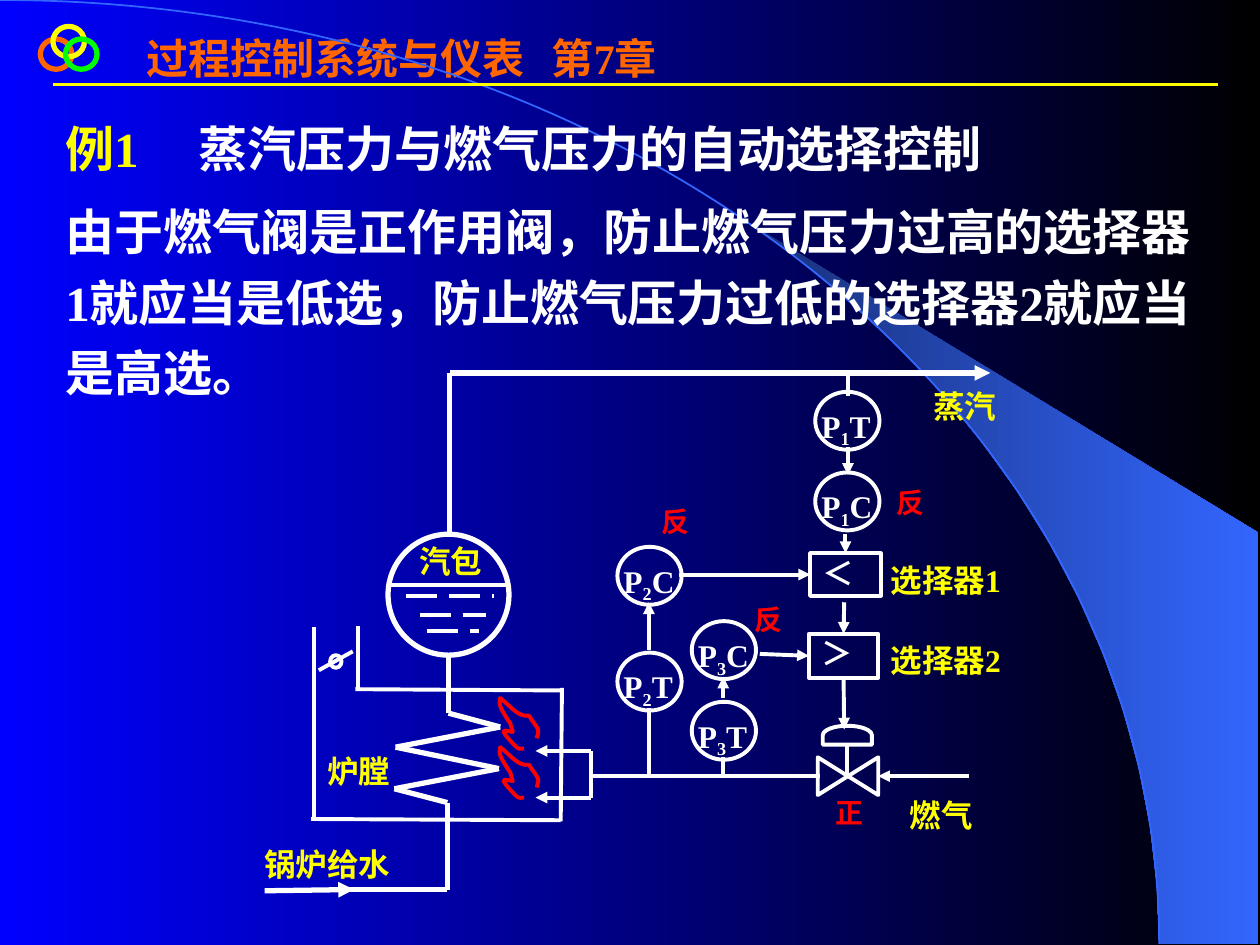
import math
from dataclasses import dataclass
from pptx import Presentation
from pptx import util as u
from pptx.dml.color import RGBColor
from pptx.enum import dml, shapes, text
from pptx.oxml import xmlchemy

PP = text.PP_ALIGN
SHAPE = shapes.MSO_SHAPE


@dataclass(frozen=True)
class Theme:
    latin: str = "Times New Roman"
    cjk: str = "Noto Sans CJK SC"
    blue: str = "0000FF"
    black: str = "000000"
    navy: str = "182F76"
    sky: str = "3366FF"
    orange: str = "FF6600"
    yellow: str = "FFFF00"
    green: str = "00FF00"
    white: str = "FFFFFF"
    red: str = "FF0000"
    title: float = 24
    body: float = 28
    label: float = 18
    action: float = 16
    thin: float = 2.25
    thick: float = 3


T = Theme()


def cm(inches):
    return u.Cm(2.54 * inches)


@dataclass
class Box:
    left: float
    top: float
    width: float
    height: float

    def at(self, x, y):
        return cm(self.left + x), cm(self.top + y)

    def place(self, x, y, w, h):
        return *self.at(x, y), cm(w), cm(h)


def sub(parent, tag, **attrs):
    e = xmlchemy.OxmlElement(tag)
    for k, v in attrs.items():
        e.set(k, str(v))
    parent.append(e)
    return e


def gradient(fill, start, end):
    fill.gradient()
    fill.gradient_angle = 0
    for stop, color in zip(fill.gradient_stops, (start, end)):
        stop.color.rgb = RGBColor.from_string(color)


def stroke(sp, color, width):
    sp.line.color.rgb = RGBColor.from_string(color)
    sp.line.width = u.Pt(width)


def outline(sp, color=T.white, width=T.thin):
    sp.shadow.inherit = False
    sp.fill.background()
    stroke(sp, color, width)
    return sp


def shape(s, box, kind, at, color=T.white, width=T.thin, rotation=0):
    sp = outline(s.shapes.add_shape(kind, *box.place(*at)), color, width)
    sp.rotation = rotation
    return sp


def line(s, box, ends, color=T.white, width=T.thin, arrow=False, dash=False):
    x1, y1, x2, y2 = ends
    c = s.shapes.add_connector(shapes.MSO_CONNECTOR.STRAIGHT, *box.at(x1, y1), *box.at(x2, y2))
    stroke(c, color, width)
    if dash:
        c.line.dash_style = dml.MSO_LINE.LONG_DASH
    if arrow:
        sub(c.line._get_or_add_ln(), "a:tailEnd", type="triangle")
    sub(c._element.spPr, "a:effectLst")
    return c


def polyline(s, box, points):
    pts = [box.at(x, y) for x, y in points]
    b = s.shapes.build_freeform(*pts[0], scale=1.0)
    b.add_line_segments(pts[1:], close=False)
    return b.convert_to_shape()


def curve(s, box, points, color, width):
    sp = outline(polyline(s, box, points), color, width)
    segments = sp._element.xpath(".//a:lnTo")
    for i in range(0, len(segments), 3):
        bezier = xmlchemy.OxmlElement("a:cubicBezTo")
        segments[i].addprevious(bezier)
        for segment in segments[i:i + 3]:
            bezier.append(segment[0])
            segment.getparent().remove(segment)


def add_run(p, words, size, color, baseline=0, latin=T.latin):
    r = p.add_run()
    r.text = words
    f = r.font
    f.size, f.bold, f.name = u.Pt(size), True, latin
    f.color.rgb = RGBColor.from_string(color)
    rpr = r._r.get_or_add_rPr()
    if baseline:
        rpr.set("baseline", str(baseline * 1000))
    sub(rpr, "a:ea", typeface=T.cjk)


def add_tab(p, inches):
    tabs = sub(p._p.get_or_add_pPr(), "a:tabLst")
    sub(tabs, "a:tab", pos=int(cm(inches)), algn="l")


def label(s, box, at, runs, size=T.label, color=T.yellow, align=PP.JUSTIFY):
    tf = s.shapes.add_textbox(*box.place(*at)).text_frame
    tf.word_wrap = True
    p = tf.paragraphs[0]
    p.alignment, p.line_spacing = align, 1.2
    for words, baseline in runs:
        add_run(p, words, size, color, baseline)


def backdrop(s, box):
    gradient(s.background.fill, T.blue, T.black)
    start, steps = math.asin(5.89 / 9.2), 14
    angles = [start + (math.pi / 2 - start) * i / steps for i in range(steps + 1)]
    edge = [(9.2 * math.sin(a), 7.49 * (1 - math.cos(a))) for a in angles]
    wedge = polyline(s, box, edge + [(9.99, 7.49), (9.99, 4.23), edge[0]])
    wedge.shadow.inherit = False
    gradient(wedge.fill, T.navy, T.sky)
    wedge.line.fill.background()
    curve(s, box, [(0, 0), (5.08, 0), (9.2, 3.35), (9.2, 7.49)], T.sky, 1)


def header(s, box):
    for x, y, color in ((0, 0.1, T.orange), (0.1, 0, T.yellow), (0.2, 0.1, T.green)):
        shape(s, box, SHAPE.OVAL, (x, y, 0.25, 0.24), color, T.thick)
    line(s, box, (0.1, 0.46, 9.35, 0.46), T.yellow, 1.5)
    sp = s.shapes.title
    sp.left, sp.top, sp.width, sp.height = box.place(0.74, 0, 4.49, 0.9)
    tf = sp.text_frame
    tf.auto_size, tf.word_wrap = text.MSO_AUTO_SIZE.NONE, False
    tf.vertical_anchor = text.MSO_ANCHOR.TOP
    p = tf.paragraphs[0]
    p.alignment = PP.LEFT
    add_tab(p, 3.22)
    add_run(p, "过程控制系统与仪表\t第7章", T.title, T.orange)


def example(s, box):
    tf = s.shapes.add_textbox(*box.place(0, 0, box.width, box.height)).text_frame
    tf.word_wrap = True
    p = tf.paragraphs[0]
    p.line_spacing = 1.2
    add_tab(p, 1.06)
    add_run(p, "例1\t", T.body, T.yellow)
    add_run(p, "蒸汽压力与燃气压力的自动选择控制", T.body, T.white)
    p = tf.add_paragraph()
    p.line_spacing, p.space_before = 1.2, u.Pt(7)
    add_run(p, "由于燃气阀是正作用阀，防止燃气压力过高的选择器1就应当是低选，"
               "防止燃气压力过低的选择器2就应当是高选。", T.body, T.white)


def flame(s, box, dy):
    points = [(2.16, 3.94), (2.14, 3.94), (2.12, 3.95), (2.1, 3.93), (1.93, 3.76), (2.01, 3.8), (2.07, 3.81),
              (2.06, 3.79), (2.06, 3.76), (2.05, 3.74), (2.04, 3.73), (1.97, 3.62), (1.97, 3.6),
              (1.96, 3.57), (1.97, 3.56), (1.97, 3.54), (2.07, 3.62), (2.11, 3.69), (2.2, 3.68),
              (2.22, 3.72), (2.26, 3.76), (2.27, 3.79), (2.28, 3.82), (2.26, 3.83), (2.26, 3.86)]
    curve(s, box, [(x, y + dy) for x, y in points], T.red, T.thin)


def boiler(s, box):
    walls = [(0.49, 2.98, 0.49, 4.5), (2.46, 3.46, 2.45, 4.52), (0.47, 4.5, 2.45, 4.51),
             (0.82, 3.47, 2.46, 3.48), (0.84, 3.48, 0.84, 2.97)]
    damper, water_level, burner = (0.53, 3.32, 0.8, 3.17), (1.08, 2.64, 2.02, 2.64), (2.69, 3.96, 2.69, 4.33)
    for ends in walls + [damper, water_level, burner]:
        line(s, box, ends)
    shape(s, box, SHAPE.FLOWCHART_CONNECTOR, (0.62, 3.2, 0.09, 0.1))
    for y in (3.96, 4.33):
        line(s, box, (2.69, y, 2.25, y), arrow=True)
    for dy in (0, 0.39):
        flame(s, box, dy)
    shape(s, box, SHAPE.OVAL, (1.08, 2.24, 0.96, 0.96), width=T.thick)
    for x1, x2, y in ((1.22, 1.92, 2.73), (1.33, 1.86, 2.88), (1.39, 1.8, 3.01)):
        line(s, box, (x1, y, x2, y), dash=True)
    coil = [(1.56, 3.2), (1.56, 3.66), (1.97, 3.77), (1.14, 3.93), (1.96, 4.1),
            (1.13, 4.26), (1.55, 4.37), (1.55, 5.06), (0.77, 5.06)]
    for a, b in zip(coil, coil[1:]):
        line(s, box, a + b, width=T.thick)
    line(s, box, (0.1, 5.07, 0.81, 5.06), width=T.thick, arrow=True)
    line(s, box, (1.57, 2.24, 1.57, 0.96), width=T.thick)
    line(s, box, (1.57, 0.96, 5.86, 0.96), width=T.thick, arrow=True)
    for x, y, w, words in ((0, 4.6, 1.46, "锅炉给水"), (1.23, 2.19, 0.89, "汽包"),
                           (0.5, 3.86, 0.8, "炉膛"), (5.31, 0.96, 0.89, "蒸汽")):
        label(s, box, (x, y, w, 0.44), [(words, 0)])


def instrument(s, box, x, y, loop, role):
    shape(s, box, SHAPE.OVAL, (x, y, 0.51, 0.46))
    label(s, box, (x - 0.05, y, 0.64, 0.34), [("P", 0), (loop, -25), (role, 0)], color=T.white)


def selector(s, box, at, sign):
    sp = shape(s, box, SHAPE.RECTANGLE, at)
    tf = sp.text_frame
    tf.vertical_anchor = text.MSO_ANCHOR.TOP
    p = tf.paragraphs[0]
    p.alignment, p.line_spacing = PP.JUSTIFY, 0.85
    add_run(p, sign, T.label, T.white, latin=T.cjk)
    return sp


def fuel_control(s, box):
    for x, y, loop, role in ((2.47, 1.11, "1", "T"), (2.47, 1.75, "1", "C"), (0.9, 2.34, "2", "C"),
                             (0.9, 3.18, "2", "T"), (1.49, 2.93, "3", "C"), (1.49, 3.57, "3", "T")):
        instrument(s, box, x, y, loop, role)
    low = selector(s, box, (2.43, 2.39, 0.56, 0.34), "＜")
    high = selector(s, box, (2.42, 3.03, 0.55, 0.35), "＞")
    for ends in ((0.7, 4.16, 2.51, 4.16), (1.15, 4.16, 1.15, 3.62), (1.74, 4.01, 1.74, 4.15),
                 (2.73, 0.97, 2.73, 1.14), (2.72, 3.91, 2.72, 4.16)):
        line(s, box, ends)
    for ends in ((3.69, 4.16, 2.97, 4.16), (2.73, 1.55, 2.73, 1.77),
                 (1.74, 3.54, 1.74, 3.37), (1.15, 3.16, 1.15, 2.78)):
        line(s, box, ends, arrow=True)
    for ends, target, side in (((1.39, 2.56, 2.43, 2.56), low, 1), ((2.71, 2.24, 2.71, 2.39), low, 0),
                               ((2.03, 3.19, 2.42, 3.2), high, 1), ((2.7, 2.78, 2.7, 3.03), high, 0)):
        line(s, box, ends, arrow=True).end_connect(target, side)
    line(s, box, (2.7, 3.39, 2.7, 3.79), arrow=True).begin_connect(high, 2)
    shape(s, box, SHAPE.FLOWCHART_COLLATE, (2.58, 3.92, 0.3, 0.48), rotation=270)
    shape(s, box, SHAPE.FLOWCHART_DELAY, (2.65, 3.64, 0.15, 0.39), rotation=270)
    for x, y, w, words in ((3.12, 4.21, 0.81, "燃气"), (2.97, 2.34, 1.27, "选择器1"), (2.97, 2.98, 1.4, "选择器2")):
        label(s, box, (x, y, w, 0.44), [(words, 0)])
    for x, y, words in ((2.53, 4.21, "正"), (1.89, 2.68, "反"), (1.15, 1.9, "反"), (3.02, 1.75, "反")):
        label(s, box, (x, y, 0.59, 0.42), [(words, 0)], T.action, T.red, PP.LEFT)


def main():
    prs = Presentation()
    prs.slide_width, prs.slide_height = cm(10), cm(7.5)
    s = prs.slides.add_slide(prs.slide_layouts[5])
    backdrop(s, Box(0, 0, 10, 7.5))
    header(s, Box(0.32, 0.21, 9.35, 0.9))
    boiler(s, Box(2, 2, 6.2, 5.5))
    fuel_control(s, Box(4, 2, 4.4, 5.5))
    example(s, Box(0.42, 0.8, 9.2, 2.44))
    prs.save("out.pptx")


if __name__ == "__main__":
    main()
